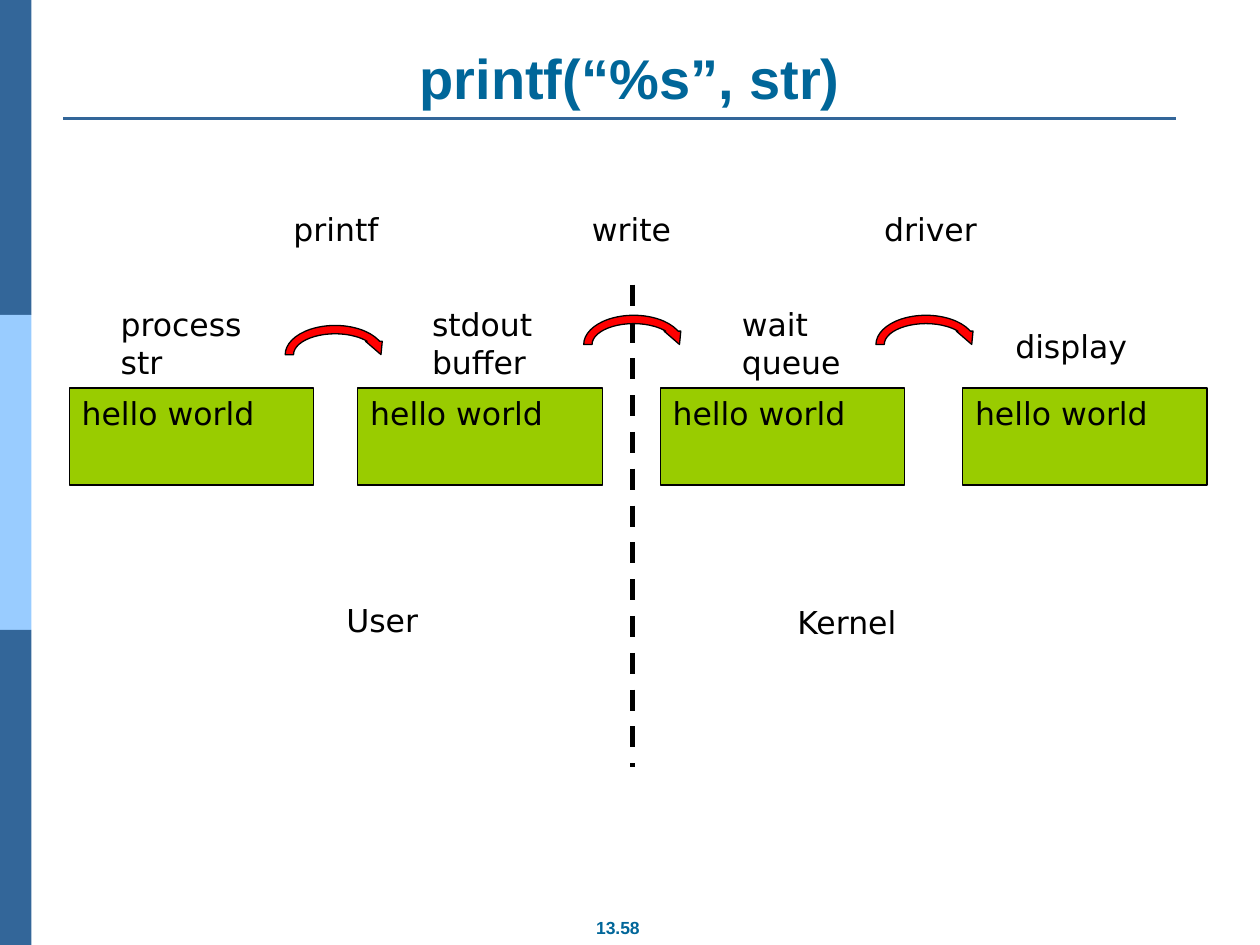
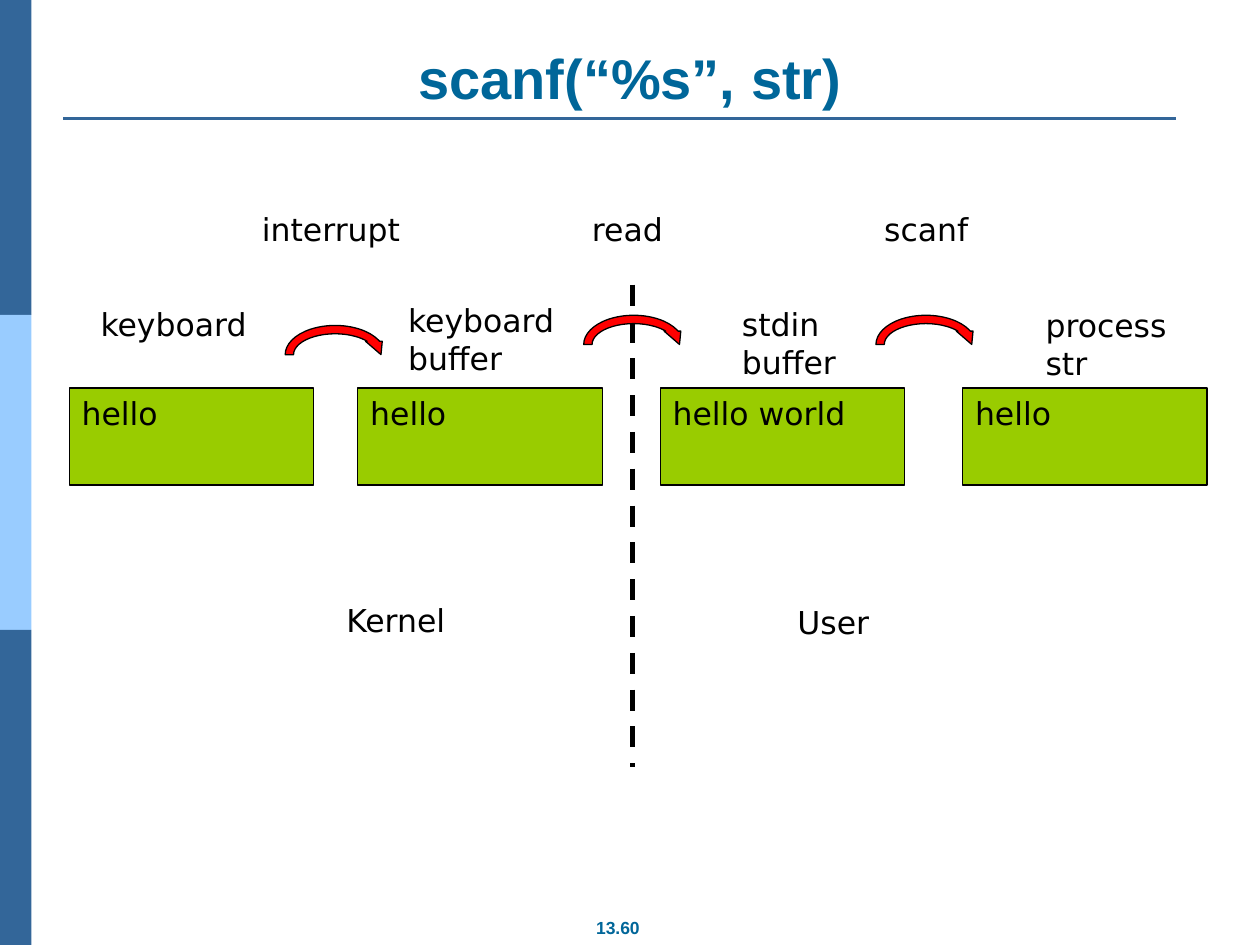
from lxml import etree
from pptx import Presentation
from pptx.dml.color import RGBColor
from pptx.enum.dml import MSO_LINE
from pptx.enum.shapes import MSO_CONNECTOR, MSO_SHAPE
from pptx.enum.text import MSO_ANCHOR as ANCHOR, MSO_AUTO_SIZE as AUTO, PP_ALIGN as ALIGN
from pptx.oxml.ns import qn
from pptx.util import Pt

COLORS = {"band": "336699", "light": "99CCFF", "title": "006699",
          "buffer": "99CC00", "arrow": "FF0000", "ink": "000000"}
TITLE = {"name": "Arial", "size": Pt(32), "bold": True}
NUMBER = {"name": "Arial", "size": Pt(10), "bold": True}
BODY = {"name": "DejaVu Sans", "size": Pt(18), "bold": False}
PANEL = (39.6, 116.6)
BUFFER_X = (0, 164.9, 337.7, 510.5)
ARROWS = ((121, 67), (291.6, 61.2), (458.6, 61.2))
SIDES = ((151.2, 223.2, 28.8), (409, 224.7, 51.1))

SLIDES = [
    {"title": "printf(“%s”, str)", "number": "13.58",
     "calls": [("printf", 121, 79.2), ("write", 291.6, 79.2), ("driver", 458.6, 79.2)],
     "stages": [("process str", 22.3, 54, 96.5, 51.1),
                ("stdout buffer", 200.2, 54, 76.3, 51.1),
                ("wait queue", 377.3, 54, 76.3, 51.1),
                ("display", 533.5, 67, 93.6, 28.8)],
     "buffers": ["hello world"] * 4,
     "sides": ["User", "Kernel"]},
    {"title": "scanf(“%s”, str)", "number": "13.60",
     "calls": [("interrupt", 103, 97.2), ("read", 291.6, 79.2), ("scanf", 458.6, 79.2)],
     "stages": [("keyboard", 10.8, 54, 110.2, 28.8),
                ("keyboard buffer", 186.5, 51.9, 102.2, 51.1),
                ("stdin buffer", 377.3, 54, 76.3, 51.1),
                ("process str", 550.8, 54.8, 93.6, 51.1)],
     "buffers": ["hello", "hello", "hello world", "hello"],
     "sides": ["Kernel", "User"]},
]


def rgb(key):
    return RGBColor.from_string(COLORS[key])


def write(tf, text, style, color="ink", align=ALIGN.LEFT, **frame):
    for name, value in frame.items():
        setattr(tf, name, value)
    p = tf.paragraphs[0]
    p.alignment = align
    r = p.add_run()
    r.text = text
    for name, value in style.items():
        setattr(r.font, name, value)
    r.font.color.rgb = rgb(color)


def add_block(s, kind, x, y, w, h, fill, outline=True):
    sp = s.shapes.add_shape(kind, Pt(x), Pt(y), Pt(w), Pt(h))
    sp.shadow.inherit = False
    sp.fill.solid()
    sp.fill.fore_color.rgb = rgb(fill)
    if outline:
        sp.line.color.rgb = rgb("ink")
        sp.line.width = Pt(0.75)
    else:
        sp.line.fill.background()
    return sp


def add_line(s, x1, y1, x2, y2, color, width):
    ln = s.shapes.add_connector(MSO_CONNECTOR.STRAIGHT, Pt(x1), Pt(y1), Pt(x2), Pt(y2))
    ln.line.color.rgb = rgb(color)
    ln.line.width = Pt(width)
    etree.SubElement(ln._element.spPr, qn("a:effectLst"))
    return ln


def add_label(s, text, x, y, w, h):
    sp = s.shapes.add_textbox(Pt(x), Pt(y), Pt(w), Pt(h))
    write(sp.text_frame, text, BODY, word_wrap=True, auto_size=AUTO.SHAPE_TO_FIT_TEXT)


def add_frame(s, title, number):
    for i, color in enumerate(("band", "light", "band")):
        add_block(s, MSO_SHAPE.RECTANGLE, 0, 180 * i, 18, 180, color, outline=False)
    add_line(s, 36, 67.7, 671.8, 67.7, "band", 1.5)
    sp = s.shapes.add_textbox(Pt(332.6), Pt(520.6), Pt(41), Pt(19.4))
    write(sp.text_frame, number, NUMBER, "title", ALIGN.CENTER,
          word_wrap=False, auto_size=AUTO.SHAPE_TO_FIT_TEXT)
    sp = s.shapes.title
    for name, value in {"left": 36, "top": 21.6, "width": 648, "height": 45.4}.items():
        setattr(sp, name, Pt(value))
    write(sp.text_frame, title, TITLE, "title", ALIGN.CENTER,
          vertical_anchor=ANCHOR.BOTTOM, auto_size=AUTO.NONE, word_wrap=True)


def add_flow(s, left, top, data):
    for x, text in zip(BUFFER_X, data["buffers"]):
        sp = add_block(s, MSO_SHAPE.RECTANGLE, left + x, top + 105.2, 139.7, 55.4, "buffer")
        write(sp.text_frame, text, BODY, vertical_anchor=ANCHOR.TOP, word_wrap=False)
    divider = add_line(s, left + 321.8, top + 46.1, left + 321.8, top + 321.9, "ink", 3)
    divider.line.dash_style = MSO_LINE.DASH
    for text, x, y, w, h in data["stages"]:
        add_label(s, text, left + x, top + y, w, h)
    for (x, y), (call, call_x, w) in zip(ARROWS, data["calls"]):
        add_block(s, MSO_SHAPE.CIRCULAR_ARROW, left + x, top + y, 61.9, 38.2, "arrow")
        add_label(s, call, left + call_x, top, w, 28.8)
    for (x, y, h), text in zip(SIDES, data["sides"]):
        add_label(s, text, left + x, top + y, 105.8, h)


def main():
    prs = Presentation()
    prs.slide_width, prs.slide_height = Pt(720), Pt(540)
    for data in SLIDES:
        s = prs.slides.add_slide(prs.slide_layouts[5])
        add_frame(s, data["title"], data["number"])
        add_flow(s, *PANEL, data)
    prs.save("out.pptx")


if __name__ == "__main__":
    main()
